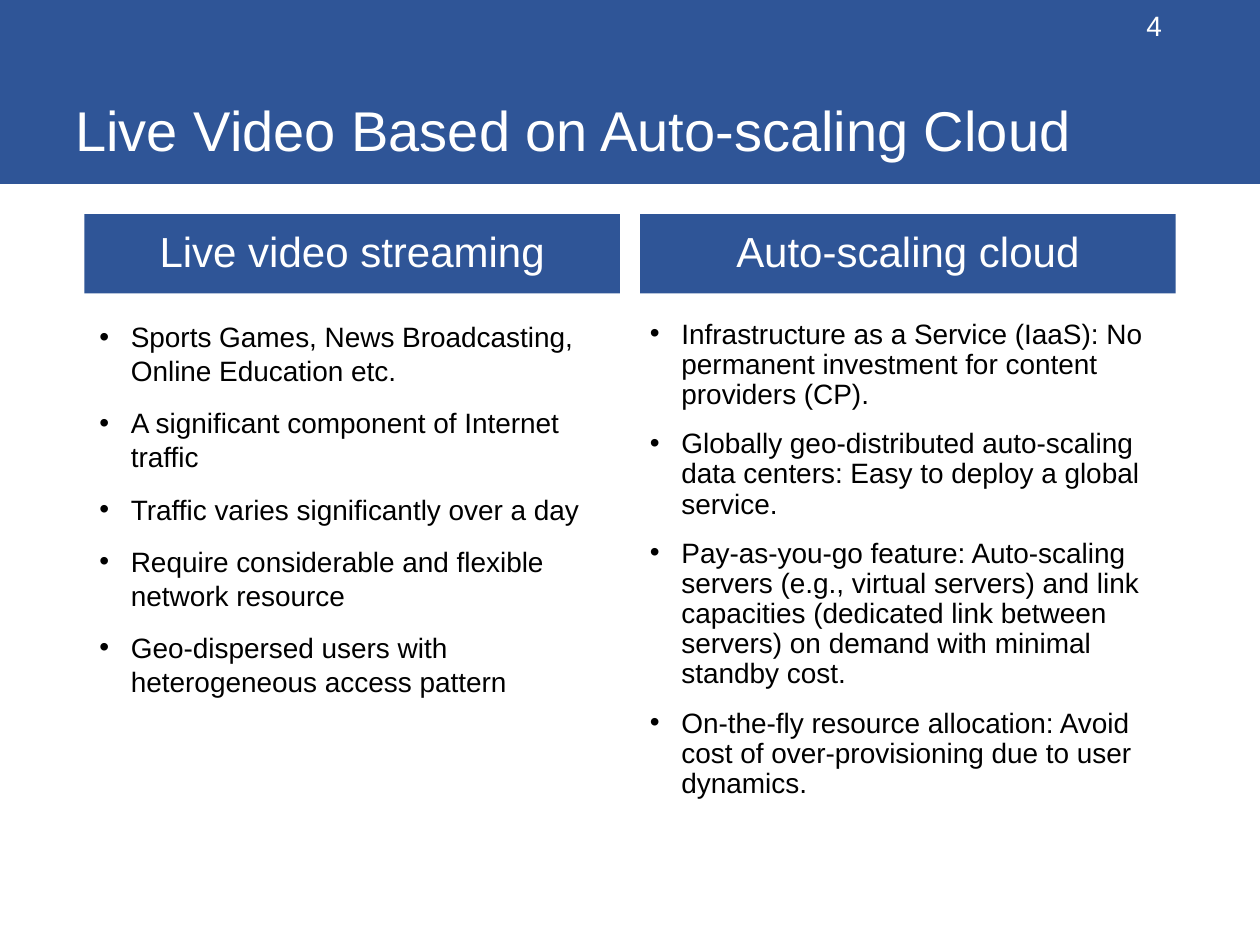
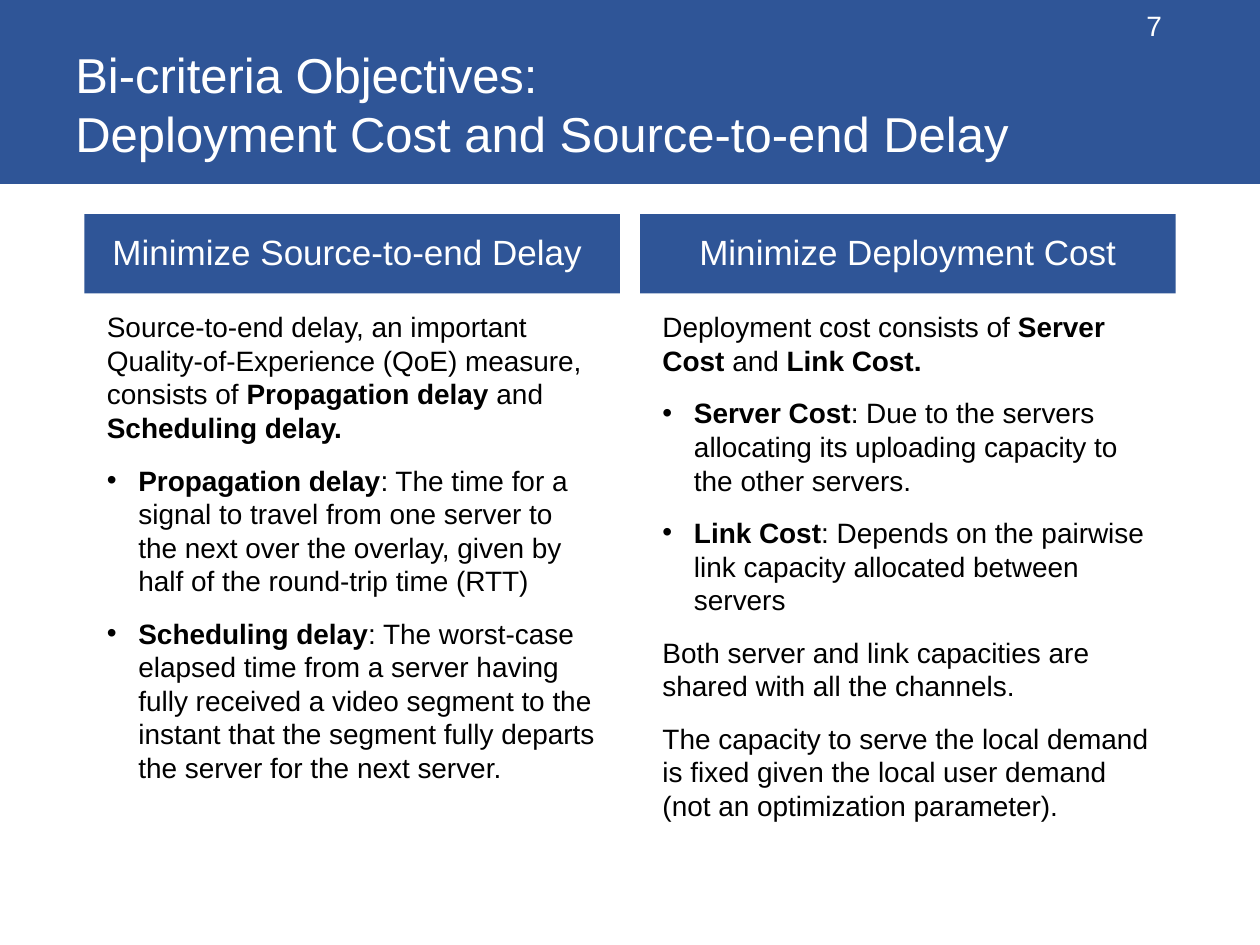
from lxml import etree
from pptx import Presentation
from pptx.dml.color import RGBColor
from pptx.enum.shapes import MSO_SHAPE
from pptx.enum.text import MSO_ANCHOR, PP_ALIGN
from pptx.oxml.ns import qn
from pptx.util import Inches, Pt

RECTANGLE = MSO_SHAPE.RECTANGLE
TOP, MIDDLE, BOTTOM = MSO_ANCHOR.TOP, MSO_ANCHOR.MIDDLE, MSO_ANCHOR.BOTTOM
LEFT, CENTER, RIGHT = PP_ALIGN.LEFT, PP_ALIGN.CENTER, PP_ALIGN.RIGHT

BLUE = RGBColor(0x2F, 0x55, 0x97)
WHITE = RGBColor(0xFF, 0xFF, 0xFF)
BLACK = RGBColor(0x00, 0x00, 0x00)
FONT = "Arial"
BULLET = "• "
BOLD_MARK = "**"
INDENT = 0.25

BAND_BOX = (0, 0, 10, 1.46)
TITLE_BOX = (0.5, 0, 8.81, 1.34)
NUMBER_BOX = (6.63, 0, 2.69, 0.4)
HEADING_BOXES = [(left, 1.7, 4.25, 0.63) for left in (0.67, 5.08)]

SLIDES = [
    {
        "number": "4",
        "title": "Live Video Based on Auto-scaling Cloud",
        "title_size": 32,
        "heading_size": 24,
        "columns": [
            {
                "heading": "Live video streaming",
                "box": (0.69, 2.49, 4.31, 4.27),
                "line_spacing": 1.0,
                "lines": [
                    "• Sports Games, News Broadcasting, Online Education etc.",
                    "• A significant component of Internet traffic",
                    "• Traffic varies significantly over a day",
                    "• Require considerable and flexible network resource",
                    "• Geo-dispersed users with heterogeneous access pattern",
                ],
            },
            {
                "heading": "Auto-scaling cloud",
                "box": (5.06, 2.49, 4.25, 4.27),
                "line_spacing": 0.9,
                "lines": [
                    "• Infrastructure as a Service (IaaS): No permanent investment "
                    "for content providers (CP).",
                    "• Globally geo-distributed auto-scaling data centers: "
                    "Easy to deploy a global service.",
                    "• Pay-as-you-go feature: Auto-scaling servers (e.g., virtual "
                    "servers) and link capacities (dedicated link between servers) "
                    "on demand with minimal standby cost.",
                    "• On-the-fly resource allocation: Avoid cost of "
                    "over-provisioning due to user dynamics.",
                ],
            },
        ],
    },
    {
        "number": "7",
        "title": "Bi-criteria Objectives: \nDeployment Cost and Source-to-end Delay",
        "title_size": 28,
        "heading_size": 20,
        "columns": [
            {
                "heading": "Minimize Source-to-end Delay ",
                "box": (0.75, 2.41, 4.09, 4.17),
                "line_spacing": 1.0,
                "lines": [
                    "Source-to-end delay, an important Quality-of-Experience (QoE) "
                    "measure, consists of **Propagation delay **and "
                    "**Scheduling delay.**",
                    "• **Propagation delay**: The time for a signal to travel from "
                    "one server to the next over the overlay, given by half of the "
                    "round-trip time (RTT)",
                    "• **Scheduling delay**: The worst-case elapsed time from a "
                    "server having fully received a video segment to the instant "
                    "that the segment fully departs the server for the next server.",
                ],
            },
            {
                "heading": "Minimize Deployment Cost",
                "box": (5.16, 2.41, 4.16, 4.33),
                "line_spacing": 1.0,
                "lines": [
                    "Deployment cost consists of **Server Cost **and **Link Cost.**",
                    "• **Server Cost**: Due to the servers allocating its uploading "
                    "capacity to the other servers.",
                    "• **Link Cost**: Depends on the pairwise link capacity "
                    "allocated between servers",
                    "Both server and link capacities are shared with all the channels.",
                    "The capacity to serve the local demand is fixed given the local "
                    "user demand (not an optimization parameter).",
                ],
            },
        ],
    },
]


def set_attributes(target, values):
    """Apply a dict of format values to an object."""
    for name, value in values.items():
        setattr(target, name, value)


def add_bullet(paragraph):
    """Give a paragraph a hanging bullet."""
    properties = paragraph._p.get_or_add_pPr()
    properties.set("marL", str(Inches(INDENT)))
    properties.set("indent", str(-Inches(INDENT)))
    etree.SubElement(properties, qn("a:buFont")).set("typeface", FONT)
    etree.SubElement(properties, qn("a:buChar")).set("char", BULLET.strip())


def write_runs(paragraph, text, size, color):
    """Write text into a paragraph, with marked parts in bold."""
    for index, part in enumerate(text.split(BOLD_MARK)):
        for line_index, line in enumerate(part.split("\n")):
            if line_index:
                paragraph.add_line_break()
            if line:
                run = paragraph.add_run()
                run.text = line
                set_attributes(run.font, {"name": FONT, "size": Pt(size), "bold": index % 2 == 1})
                run.font.color.rgb = color


def write_text(shape, lines, size, color, anchor=TOP, paragraph_format=None):
    """Fill a shape with one paragraph for each line."""
    frame = shape.text_frame
    set_attributes(frame, {"word_wrap": True, "vertical_anchor": anchor})
    for index, line in enumerate(lines):
        paragraph = frame.add_paragraph() if index else frame.paragraphs[0]
        set_attributes(paragraph, paragraph_format or {})
        if line.startswith(BULLET):
            add_bullet(paragraph)
        write_runs(paragraph, line.removeprefix(BULLET), size, color)


def body_format(size, line_spacing, alignment=LEFT):
    """Return the paragraph spacing shared by headings and body text."""
    return {
        "alignment": alignment,
        "line_spacing": line_spacing,
        "space_before": Pt(round(size * 0.3, 1)),
        "space_after": Pt(6),
    }


def add_text_box(slide, box):
    """Add an empty text box."""
    return slide.shapes.add_textbox(*map(Inches, box))


def add_blue_box(slide, box):
    """Add a plain blue rectangle."""
    shape = slide.shapes.add_shape(RECTANGLE, *map(Inches, box))
    shape.shadow.inherit = False
    shape.fill.solid()
    shape.fill.fore_color.rgb = BLUE
    shape.line.fill.background()
    return shape


def add_title_band(slide, title, size, number):
    """Add the top band with its title and slide number."""
    add_blue_box(slide, BAND_BOX)
    write_text(add_text_box(slide, TITLE_BOX), [title], size, WHITE, BOTTOM)
    write_text(add_text_box(slide, NUMBER_BOX), [number], 16, WHITE, MIDDLE, {"alignment": RIGHT})


def add_column(slide, heading_box, heading_size, column):
    """Add a blue heading and the text below it."""
    heading = add_blue_box(slide, heading_box)
    write_text(heading, [column["heading"]], heading_size, WHITE, MIDDLE,
               body_format(heading_size, 0.9, CENTER))
    write_text(add_text_box(slide, column["box"]), column["lines"], 16, BLACK,
               paragraph_format=body_format(16, column["line_spacing"]))


def add_comparison_slide(presentation, content):
    """Add a slide with a title band and two columns."""
    slide = presentation.slides.add_slide(presentation.slide_layouts[6])
    add_title_band(slide, content["title"], content["title_size"], content["number"])
    for heading_box, column in zip(HEADING_BOXES, content["columns"]):
        add_column(slide, heading_box, content["heading_size"], column)


def main():
    """Build and save the presentation."""
    presentation = Presentation()
    presentation.slide_width = Inches(10)
    presentation.slide_height = Inches(7.5)
    for content in SLIDES:
        add_comparison_slide(presentation, content)
    presentation.save("out.pptx")


if __name__ == "__main__":
    main()
